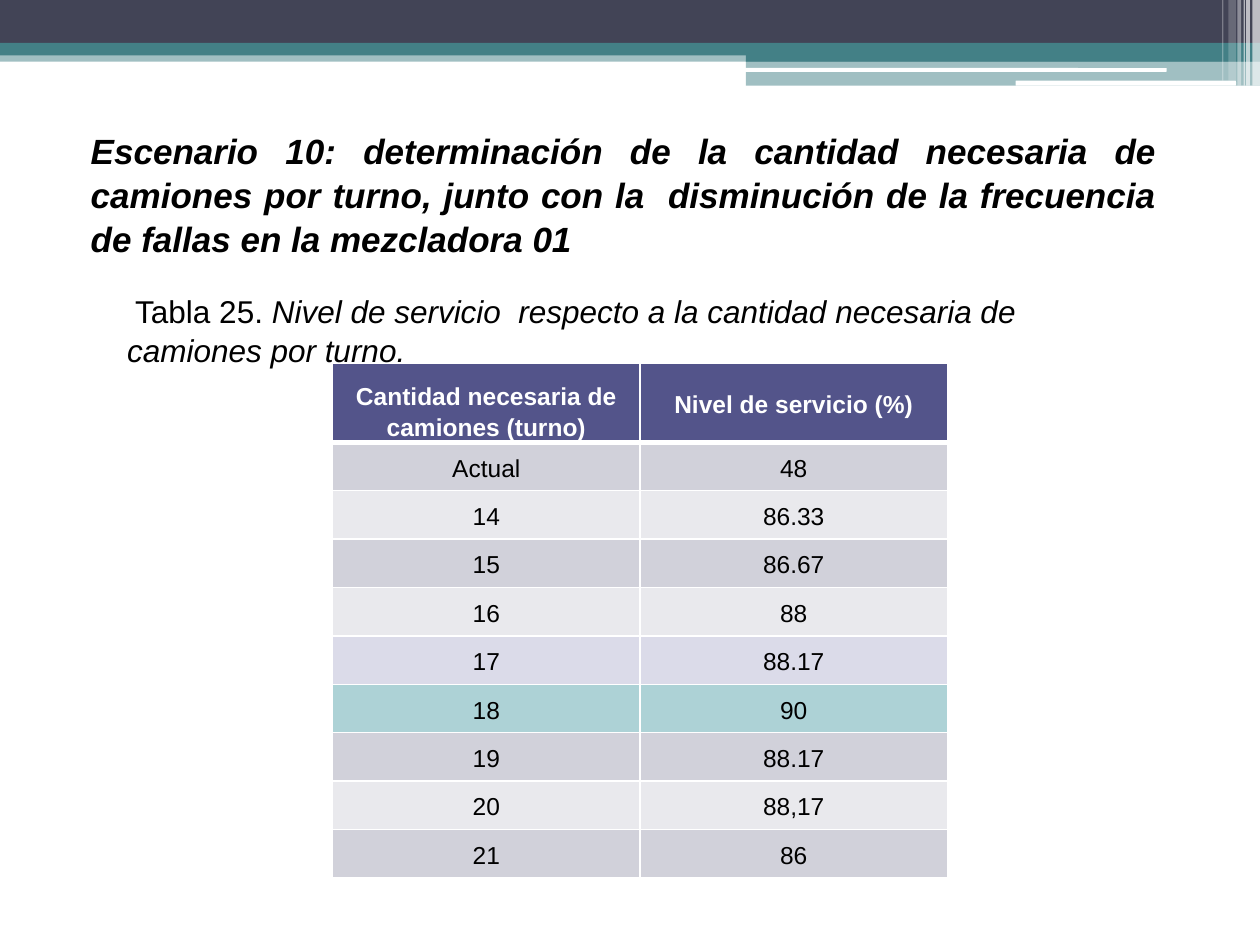
from dataclasses import dataclass

from lxml.etree import SubElement
from pptx import Presentation
from pptx.dml.color import RGBColor
from pptx.enum.shapes import MSO_SHAPE as Preset
from pptx.enum.text import MSO_ANCHOR as Anchor, MSO_AUTO_SIZE as AutoSize, PP_ALIGN as Align
from pptx.oxml.ns import qn
from pptx.util import Inches, Pt

COLORS = {
    "white": "FFFFFF",
    "black": "000000",
    "slate": "424456",
    "teal": "438086",
    "header": "53548A",
    "band_dark": "D1D1DA",
    "band_light": "E9E9ED",
    "lilac": "DBDBE9",
    "best": "ADD2D6",
}
FONT = "Arial"


@dataclass
class Bar:
    left: float
    top: float
    width: float
    height: float
    color: str
    opacity: int = 100
    rounded: bool = False


@dataclass
class ServiceLevel:
    trucks: str
    level: str
    color: str


BANNER = [
    Bar(0, 0.4, 10, 0.09, "teal", 50),
    Bar(0, 0, 10, 0.34, "slate"),
    Bar(0, 0.34, 10, 0.1, "teal"),
    Bar(5.92, 0.39, 4.08, 0.1, "teal"),
    Bar(5.92, 0.48, 4.08, 0.2, "teal", 50),
    Bar(5.91, 0.54, 3.35, 0.03, "white", rounded=True),
    Bar(8.06, 0.64, 1.75, 0.04, "white", rounded=True),
]
# Vertical stripes at the right edge: left, width, height, opacity
STRIPES = [
    Bar(left, 0, width, height, "white", opacity)
    for left, width, height, opacity in [
        (9.94, 0.06, 0.68, 65),
        (9.89, 0.03, 0.68, 65),
        (9.87, 0.01, 0.68, 60),
        (9.82, 0.03, 0.68, 40),
        (9.75, 0.06, 0.64, 20),
        (9.7, 0.01, 0.64, 30),
    ]
]
HEADINGS = ["Cantidad necesaria de camiones (turno)", "Nivel de servicio (%)"]
SERVICE_LEVELS = [
    ServiceLevel("Actual", "48", "band_dark"),
    ServiceLevel("14", "86.33", "band_light"),
    ServiceLevel("15", "86.67", "band_dark"),
    ServiceLevel("16", "88", "band_light"),
    ServiceLevel("17", "88.17", "lilac"),
    ServiceLevel("18", "90", "best"),
    ServiceLevel("19", "88.17", "band_dark"),
    ServiceLevel("20", "88,17", "band_light"),
    ServiceLevel("21", "86", "band_dark"),
]


def rgb(color: str) -> RGBColor:
    return RGBColor.from_string(COLORS[color])


def set_font(font, size: float, color: str, bold: bool = False) -> None:
    font.name = FONT
    font.size = Pt(size)
    font.bold = bold
    font.color.rgb = rgb(color)


def place(shape, left: float, top: float, width: float, height: float) -> None:
    shape.left, shape.top = Inches(left), Inches(top)
    shape.width, shape.height = Inches(width), Inches(height)


def draw_bar(slide, bar: Bar) -> None:
    preset = Preset.ROUNDED_RECTANGLE if bar.rounded else Preset.RECTANGLE
    shape = slide.shapes.add_shape(
        preset, Inches(bar.left), Inches(bar.top), Inches(bar.width), Inches(bar.height)
    )
    shape.shadow.inherit = False
    shape.line.fill.background()
    shape.fill.solid()
    shape.fill.fore_color.rgb = rgb(bar.color)
    if bar.opacity < 100:
        fill_color = shape.element.spPr.find(qn("a:solidFill")).find(qn("a:srgbClr"))
        SubElement(fill_color, qn("a:alpha"), val=str(bar.opacity * 1000))


def draw_title(slide, text: str) -> None:
    title = slide.shapes.title
    place(title, 0.62, 0.96, 8.66, 1.45)
    frame = title.text_frame
    frame.text = text
    frame.word_wrap = True
    frame.auto_size = AutoSize.NONE
    frame.vertical_anchor = Anchor.TOP
    paragraph = frame.paragraphs[0]
    paragraph.alignment = Align.JUSTIFY
    paragraph.line_spacing = 1.05
    set_font(paragraph.font, 20, "black", bold=True)
    paragraph.font.italic = True


def draw_caption(slide, label: str, text: str) -> None:
    caption = slide.shapes.add_textbox(Inches(0.91), Inches(2.25), Inches(8.35), Inches(0.71))
    caption.text_frame.word_wrap = True
    paragraph = caption.text_frame.paragraphs[0]
    paragraph.line_spacing = 1.05
    set_font(paragraph.font, 18, "black")
    paragraph.add_run().text = label
    description = paragraph.add_run()
    description.text = text
    description.font.italic = True


def set_borders(cell, bottom: float) -> None:
    properties = cell._tc.get_or_add_tcPr()
    widths = {"a:lnL": 1, "a:lnR": 1, "a:lnT": 1, "a:lnB": bottom}
    # Borders come before the fill in the cell properties
    for position, (tag, width) in enumerate(widths.items()):
        border = SubElement(properties, qn(tag), w=str(Pt(width)))
        fill = SubElement(border, qn("a:solidFill"))
        SubElement(fill, qn("a:srgbClr"), val=COLORS["white"])
        properties.insert(position, border)


def fill_cell(cell, text: str, color: str, heading: bool = False) -> None:
    cell.text = text
    cell.margin_left = cell.margin_right = Inches(0.07)
    cell.margin_top = cell.margin_bottom = 0
    cell.vertical_anchor = Anchor.MIDDLE
    cell.fill.solid()
    cell.fill.fore_color.rgb = rgb(color)
    paragraph = cell.text_frame.paragraphs[0]
    paragraph.alignment = Align.CENTER
    paragraph.line_spacing = 1.15
    set_font(paragraph.font, 14, "white" if heading else "black", bold=heading)
    set_borders(cell, bottom=3 if heading else 1)


def draw_service_table(slide) -> None:
    header_height, total_height = 0.63, 4.09
    table = slide.shapes.add_table(
        len(SERVICE_LEVELS) + 1, len(HEADINGS),
        Inches(2.64), Inches(2.88), Inches(4.88), Inches(total_height),
    ).table
    row_height = (total_height - header_height) / len(SERVICE_LEVELS)
    for index, row in enumerate(table.rows):
        row.height = Inches(row_height if index else header_height)

    for column, heading in enumerate(HEADINGS):
        fill_cell(table.cell(0, column), heading, "header", heading=True)
    table.cell(0, 0).vertical_anchor = Anchor.BOTTOM
    for index, entry in enumerate(SERVICE_LEVELS, start=1):
        for column, value in enumerate((entry.trucks, entry.level)):
            fill_cell(table.cell(index, column), value, entry.color)


def main() -> None:
    deck = Presentation()
    deck.slide_width, deck.slide_height = Inches(10), Inches(7.5)
    slide = deck.slides.add_slide(deck.slide_layouts[5])

    # Banner across the top
    for bar in BANNER + STRIPES:
        draw_bar(slide, bar)

    # Heading, table and its caption
    draw_title(
        slide,
        "Escenario 10: determinación de la cantidad necesaria de camiones por turno, "
        "junto con la  disminución de la frecuencia de fallas en la mezcladora 01",
    )
    draw_service_table(slide)
    draw_caption(
        slide,
        " Tabla 25. ",
        "Nivel de servicio  respecto a la cantidad necesaria de camiones por turno.",
    )
    deck.save("out.pptx")


if __name__ == "__main__":
    main()
